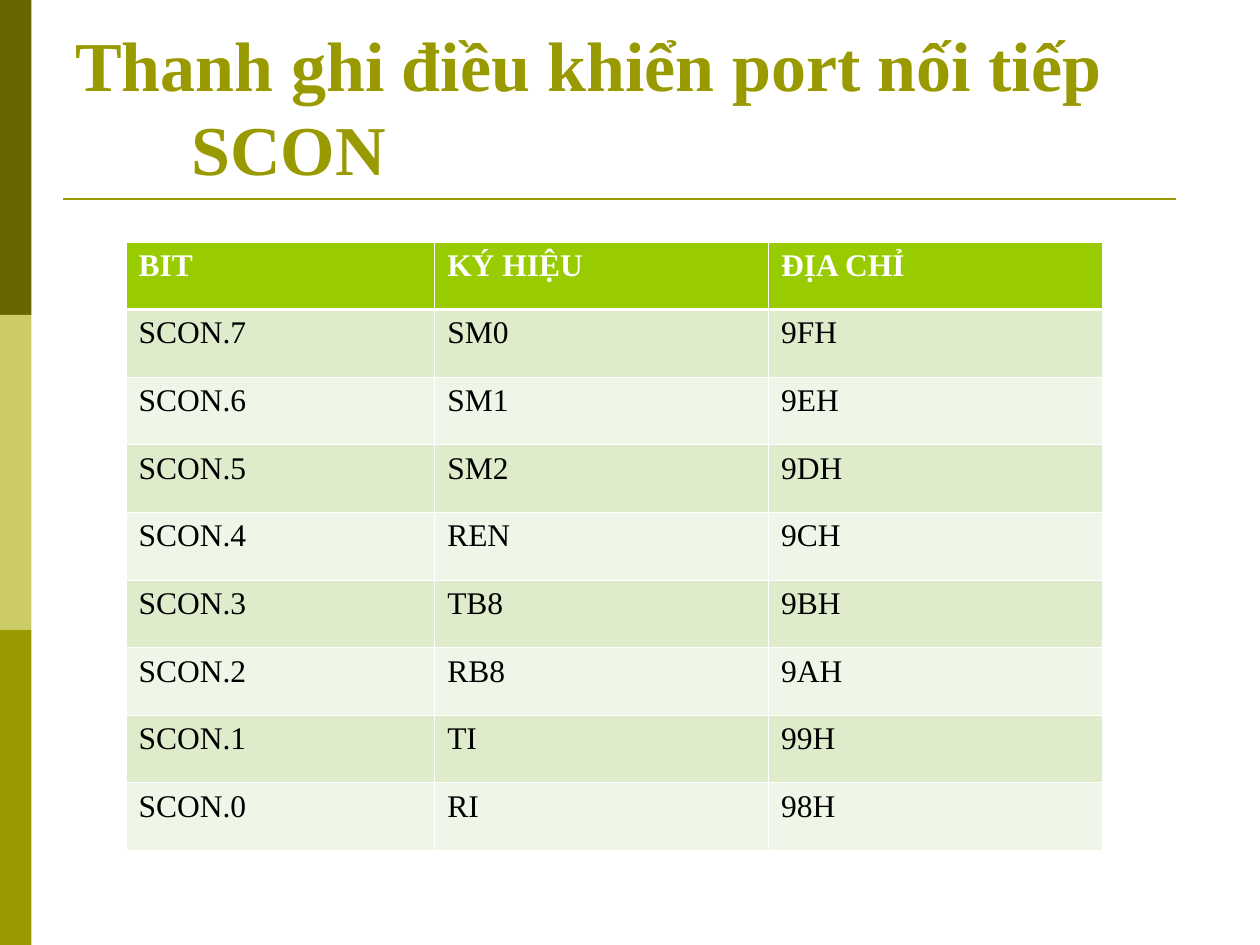
import dataclasses

import lxml.etree
import pptx
import pptx.dml.color
import pptx.enum.shapes
import pptx.enum.text
import pptx.oxml.ns
import pptx.util


@dataclasses.dataclass(frozen=True)
class Theme:
    font: str = "Times New Roman"
    olive: str = "999900"
    dark_olive: str = "666600"
    pale_olive: str = "CCCC66"
    header: str = "99CC00"
    bands: tuple[str, str] = ("DEECCB", "EFF6E7")
    white: str = "FFFFFF"
    black: str = "000000"
    title_size: float = 40
    cell_size: float = 18
    rule_width: float = 1.5
    thin_border: float = 0.45
    header_border: float = 1.47


@dataclasses.dataclass(frozen=True)
class Frame:
    """Lengths in inches."""
    left: float
    top: float
    width: float
    height: float

    def emu(self) -> list[int]:
        return [pptx.util.Inches(length) for length in dataclasses.astuple(self)]


@dataclasses.dataclass(frozen=True)
class Register:
    bit: str
    symbol: str
    address: str


THEME = Theme()
SLIDE = Frame(0, 0, 10, 7.5)
TITLE = Frame(0.05 * SLIDE.width, 0.04 * SLIDE.height, 0.9 * SLIDE.width, 1.25)
TABLE = Frame(0.1 * SLIDE.width, 1.92, 7.75, 4.83)
COLUMN_WIDTHS = (2.45, 2.65, 2.65)
RULE_Y = 1.58
TITLE_INDENT = 0.92

HEADINGS = ("BIT", "KÝ HIỆU", "ĐỊA CHỈ")
SYMBOLS = ("SM0", "SM1", "SM2", "REN", "TB8", "RB8", "TI", "RI")
# Bits run from 7 down to 0, at addresses 9FH down to 98H
REGISTERS = [
    Register(f"SCON.{bit}", symbol, f"{0x98 + bit:X}H")
    for bit, symbol in zip(range(7, -1, -1), SYMBOLS)
]


def color(code: str) -> pptx.dml.color.RGBColor:
    return pptx.dml.color.RGBColor.from_string(code)


def add_span(para, text: str, size: float, code: str, bold: bool) -> None:
    span = para.add_run()
    span.text = text
    span.font.name = THEME.font
    span.font.size = pptx.util.Pt(size)
    span.font.bold = bold
    span.font.color.rgb = color(code)


def add_side_bar(slide) -> None:
    codes = (THEME.dark_olive, THEME.pale_olive, THEME.olive)
    height = SLIDE.height / len(codes)
    for index, code in enumerate(codes):
        frame = Frame(0, index * height, SLIDE.width / 40, height)
        block = slide.shapes.add_shape(
            pptx.enum.shapes.MSO_SHAPE.RECTANGLE, *frame.emu())
        block.shadow.inherit = False
        block.fill.solid()
        block.fill.fore_color.rgb = color(code)
        block.line.fill.background()


def add_title_rule(slide) -> None:
    y = pptx.util.Inches(RULE_Y)
    rule = slide.shapes.add_connector(
        pptx.enum.shapes.MSO_CONNECTOR.STRAIGHT,
        pptx.util.Inches(0.5), y, pptx.util.Inches(9.33), y)
    rule.line.color.rgb = color(THEME.olive)
    rule.line.width = pptx.util.Pt(THEME.rule_width)
    lxml.etree.SubElement(rule._element.spPr, pptx.oxml.ns.qn("a:effectLst"))


def add_title(slide, text: str) -> None:
    box = slide.shapes.add_textbox(*TITLE.emu())
    box.text_frame.word_wrap = True
    box.text_frame.vertical_anchor = pptx.enum.text.MSO_ANCHOR.BOTTOM
    para = box.text_frame.paragraphs[0]
    # Hanging indent: the second line starts further in
    indent = pptx.util.Inches(TITLE_INDENT)
    properties = para._p.get_or_add_pPr()
    properties.set("marL", str(indent))
    properties.set("indent", str(-indent))
    add_span(para, text, THEME.title_size, THEME.olive, True)


def set_borders(cell, top: float, bottom: float) -> None:
    properties = cell._tc.get_or_add_tcPr()
    widths = {"L": THEME.thin_border, "R": THEME.thin_border, "T": top, "B": bottom}
    for side, width in widths.items():
        line = lxml.etree.SubElement(
            properties, pptx.oxml.ns.qn(f"a:ln{side}"), w=str(pptx.util.Pt(width)))
        fill = lxml.etree.SubElement(line, pptx.oxml.ns.qn("a:solidFill"))
        lxml.etree.SubElement(fill, pptx.oxml.ns.qn("a:srgbClr"), val=THEME.white)


def fill_cell(cell, text: str, row: int) -> None:
    is_header = row == 0
    set_borders(
        cell,
        top=THEME.header_border if row == 1 else THEME.thin_border,
        bottom=THEME.header_border if is_header else THEME.thin_border)
    cell.fill.solid()
    cell.fill.fore_color.rgb = color(
        THEME.header if is_header else THEME.bands[(row - 1) % 2])
    add_span(cell.text_frame.paragraphs[0], text, THEME.cell_size,
             THEME.white if is_header else THEME.black, is_header)


def add_register_table(slide, registers: list[Register]) -> None:
    rows = [HEADINGS, *map(dataclasses.astuple, registers)]
    table = slide.shapes.add_table(len(rows), len(HEADINGS), *TABLE.emu()).table
    for column, width in zip(table.columns, COLUMN_WIDTHS):
        column.width = pptx.util.Inches(width)
    for row, texts in enumerate(rows):
        table.rows[row].height = pptx.util.Inches(TABLE.height / len(rows))
        for column, text in enumerate(texts):
            fill_cell(table.cell(row, column), text, row)


def main() -> None:
    deck = pptx.Presentation()
    deck.slide_width = pptx.util.Inches(SLIDE.width)
    deck.slide_height = pptx.util.Inches(SLIDE.height)
    slide = deck.slides.add_slide(deck.slide_layouts[6])
    # Backdrop
    add_side_bar(slide)
    add_title_rule(slide)
    # Content
    add_title(slide, "Thanh ghi điều khiển port nối tiếp SCON")
    add_register_table(slide, REGISTERS)
    deck.save("out.pptx")


if __name__ == "__main__":
    main()
